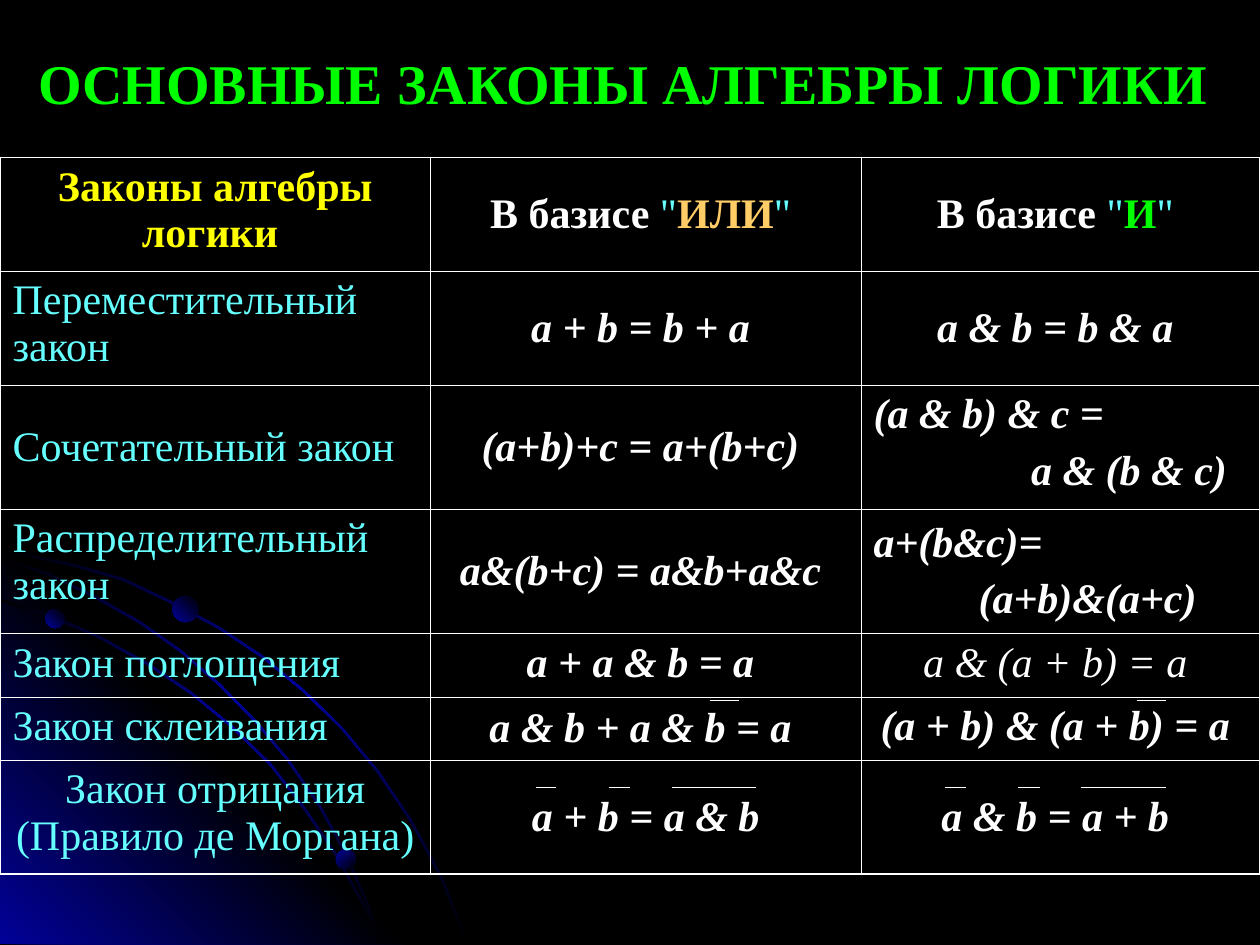
from dataclasses import dataclass
from lxml import etree
from pptx import Presentation
from pptx.dml.color import RGBColor
from pptx.enum.shapes import MSO_CONNECTOR, MSO_SHAPE
from pptx.enum.text import MSO_ANCHOR, PP_ALIGN
from pptx.oxml import parse_xml
from pptx.oxml.ns import nsdecls, qn
from pptx.util import Pt

LEFT, CENTER = PP_ALIGN.LEFT, PP_ALIGN.CENTER
TOP, MIDDLE = MSO_ANCHOR.TOP, MSO_ANCHOR.MIDDLE
OVAL, LINE = MSO_SHAPE.OVAL, MSO_CONNECTOR.STRAIGHT


@dataclass(frozen=True)
class Look:
    color: str
    size: float = 24
    bold: bool = False
    italic: bool = False


class Theme:
    font = "Times New Roman"
    black, blue, white = "000000", "010199", "FFFFFF"
    green, yellow, cyan, gold = "00FF00", "FFFF00", "66FFFF", "FFCC66"
    title = Look(green, 32, True)
    head = Look(yellow, bold=True)
    base = Look(white, bold=True)
    mark = Look(cyan)
    either = Look(gold, bold=True)
    both = Look(green, bold=True)
    law = Look(white, bold=True, italic=True)
    light = Look(white, italic=True)
    outer, inner = 1.08, 0.45


@dataclass
class Cell:
    lines: list
    align: int = CENTER
    anchor: int = MIDDLE
    indent: float = 0


def name(text, align=LEFT, anchor=TOP, look=Theme.mark):
    return Cell([[(text, look)]], align, anchor)


def law(text, anchor=MIDDLE, look=Theme.law):
    return Cell([[(text, look)]], CENTER, anchor)


def split(first, last, indent, anchor):
    return Cell([[(first, Theme.law)], [(last, Theme.law)]], LEFT, anchor, indent)


def basis(word, look):
    return Cell([[("В базисе", Theme.base), (' "', Theme.mark),
                  (word, look), ('" ', Theme.mark)]])


class Deck:
    def __init__(self, theme):
        self.theme = theme
        self.prs = Presentation()
        self.prs.slide_width, self.prs.slide_height = Pt(720), Pt(540)
        self.slide = self.prs.slides.add_slide(self.prs.slide_layouts[6])
        self.shapes = self.slide.shapes
        fill = self.slide.background.fill
        fill.solid()
        fill.fore_color.rgb = RGBColor.from_string(theme.black)

    def shade(self, shape, colors, angle):
        shape.shadow.inherit = False
        shape.line.fill.background()
        shape.fill.background()
        step = 100000 // (len(colors) - 1)
        stops = "".join(f'<a:gs pos="{i * step}"><a:srgbClr val="{c}"/></a:gs>'
                        for i, c in enumerate(colors))
        grad = parse_xml(f'<a:gradFill {nsdecls("a")}><a:gsLst>{stops}</a:gsLst>'
                         f'<a:lin ang="{angle * 60000}" scaled="0"/></a:gradFill>')
        props = shape.element.spPr
        props.replace(props.find(qn("a:noFill")), grad)

    def area(self, points, colors, angle):
        start, *rest = [(Pt(x), Pt(y)) for x, y in points]
        form = self.shapes.build_freeform(*start, scale=1)
        form.add_line_segments(rest, close=True)
        self.shade(form.convert_to_shape(), colors, angle)

    def arc(self, edge, width=1.6):
        last = len(edge) - 1
        under = [(x - width * i / last, y + width * (1 - i / last))
                 for i, (x, y) in enumerate(edge)]
        t = self.theme
        self.area(edge + under[::-1], [t.black, t.blue, t.black], 225)

    def dot(self, x, y, size, angle):
        oval = self.shapes.add_shape(OVAL, Pt(x), Pt(y), Pt(size), Pt(size))
        self.shade(oval, [self.theme.black, self.theme.blue], angle)

    def words(self, para, parts, align):
        para.alignment = align
        para.text = parts[0][0]
        for text, _ in parts[1:]:
            para.add_run().text = text
        for run, (_, look) in zip(para.runs, parts):
            font = run.font
            font.name, font.size = self.theme.font, Pt(look.size)
            font.bold, font.italic = look.bold, look.italic
            font.color.rgb = RGBColor.from_string(look.color)

    def text(self, x, y, width, height, text, look):
        frame = self.shapes.add_textbox(Pt(x), Pt(y), Pt(width), Pt(height)).text_frame
        frame.word_wrap = True
        self.words(frame.paragraphs[0], [(text, look)], CENTER)

    def border(self, cell, widths):
        props = cell._tc.get_or_add_tcPr()
        for i, (side, width) in enumerate(zip("LRTB", widths)):
            line = etree.Element(qn("a:ln" + side), w=str(int(Pt(width))))
            fill = etree.SubElement(line, qn("a:solidFill"))
            etree.SubElement(fill, qn("a:srgbClr"), val=self.theme.white)
            props.insert(i, line)

    def table(self, x, y, cols, heights, rows):
        frame = self.shapes.add_table(len(heights), len(cols), Pt(x), Pt(y),
                                      Pt(sum(cols)), Pt(sum(heights)))
        grid = frame.table
        grid.first_row = grid.horz_banding = False
        for col, width in zip(grid.columns, cols):
            col.width = Pt(width)
        for r, (height, row) in enumerate(zip(heights, rows)):
            grid.rows[r].height = Pt(height)
            for c, item in enumerate(row):
                cell = grid.cell(r, c)
                cell.fill.background()
                cell.vertical_anchor = item.anchor
                edges = (c == 0, c == len(cols) - 1, r == 0, r == len(rows) - 1)
                self.border(cell, [self.theme.outer if e else self.theme.inner
                                   for e in edges])
                frame = cell.text_frame
                for i, parts in enumerate(item.lines):
                    para = frame.add_paragraph() if i else frame.paragraphs[0]
                    self.words(para, parts, item.align)
                    if i:
                        para.space_before = Pt(6)
                        para._p.get_or_add_pPr().set("marL", str(int(Pt(item.indent))))

    def bar(self, x, y, width, weight):
        line = self.shapes.add_connector(LINE, Pt(x), Pt(y), Pt(x + width), Pt(y))
        line.line.width = Pt(weight)
        line.line.color.rgb = RGBColor.from_string(self.theme.white)
        etree.SubElement(line.element.spPr, qn("a:effectLst"))


def main():
    t = Theme
    deck = Deck(t)
    deck.arc([(0, 313), (20, 317.5), (41, 322), (70.5, 330.5), (98, 343.5),
              (125, 358), (150.5, 375), (174, 394.5), (196, 416), (216, 440),
              (234, 466.5), (244, 484.5), (253.5, 502.5), (260.5, 520.5), (268, 539.5)])
    deck.area([(0, 307.5), (232, 539.5), (0, 539.5)], [t.blue, t.black, t.blue], 135)
    deck.arc([(0, 342), (29.5, 351.5), (57, 363.5), (84, 378.5), (109.5, 395.5),
              (132.5, 414.5), (155, 436.5), (174, 461), (191.5, 486.5),
              (206, 512.5), (213, 525.5), (218, 539.5)])
    deck.arc([(0, 318), (28, 327.5), (54.5, 340.5), (80, 355), (103.5, 371.5),
              (126, 391), (147, 412.5), (165, 434), (183, 460), (193.5, 479),
              (203, 499), (211.5, 518.5), (218, 539.5)])
    for spot in [(26, 348, 11, 135), (192, 485.5, 11.5, 225), (98.5, 340.5, 15, 135)]:
        deck.dot(*spot)

    deck.table(0, 90, [246, 246, 228], [65, 65, 71, 71, 36.5, 36, 65], [
        [name("Законы алгебры логики ", CENTER, look=t.head),
         basis("ИЛИ", t.either), basis("И", t.both)],
        [name("Переместительный закон"), law("a + b = b + a "), law("a & b = b & a ")],
        [name("Сочетательный закон", anchor=MIDDLE), law("(a+b)+c = a+(b+c) "),
         split("(a & b) & c =", "a & (b & c)", 90, TOP)],
        [name("Распределительный закон"), law("a&(b+c) = a&b+a&c "),
         split("a+(b&c)=", "(a+b)&(a+c)", 60, MIDDLE)],
        [name("Закон поглощения"), law("a + a & b = a ", TOP),
         law("a & (a + b) = a ", TOP, t.light)],
        [name("Закон склеивания"), law("a & b + a & b = a "),
         law("(a + b) & (a + b) = a ", TOP)],
        [name("Закон отрицания (Правило де Моргана) ", CENTER),
         law("a + b = a & b"), law("a & b = a + b ")],
    ])
    deck.text(0, 24, 720, 46, "ОСНОВНЫЕ ЗАКОНЫ АЛГЕБРЫ ЛОГИКИ ", t.title)

    for x in (306, 540):
        for shift, width in [(0, 12), (42, 12), (78, 48)]:
            deck.bar(x + shift, 450, width, 1)
    for x in (405.5, 649.5):
        deck.bar(x, 400.5, 17, 0.75)
    deck.prs.save("out.pptx")


if __name__ == "__main__":
    main()
